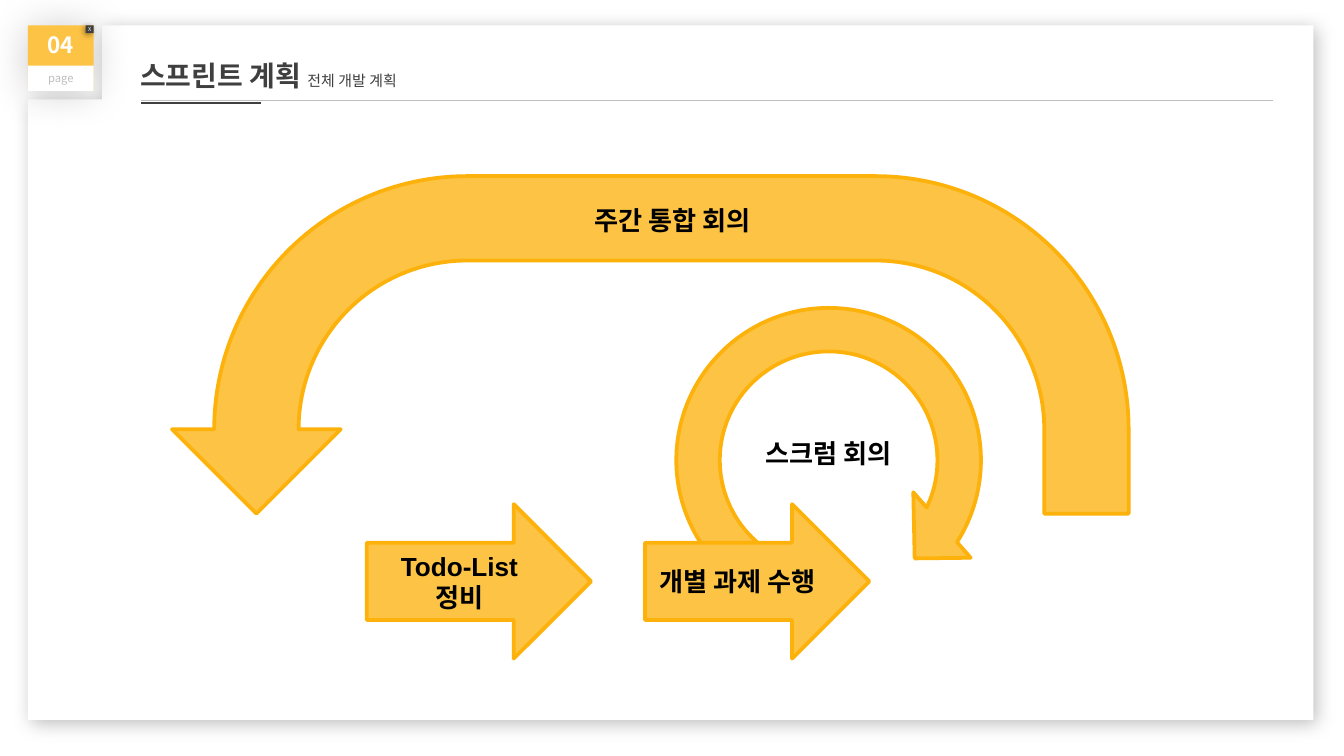
from lxml import etree
from pptx import Presentation
from pptx import util as u
from pptx.dml.color import RGBColor
from pptx.enum import shapes, text
from pptx.oxml.ns import qn

KOREAN = "Noto Sans CJK KR"
AMBER, AMBER_EDGE = "FDC345", "FDB20B"
WHITE, BLACK, DARK, GREY = "FFFFFF", "000000", "3F3F3F", "BFBFBF"
KIND = shapes.MSO_SHAPE


def color(value):
    return RGBColor.from_string(value)


def cm(*lengths):
    return [u.Cm(length) for length in lengths]


def add_effects(shape, shadow=None):
    """Shadow is (opacity %, blur pt, distance pt, angle)."""
    effects = etree.SubElement(shape._element.spPr, qn("a:effectLst"))
    if shadow:
        opacity, blur, distance, angle = shadow
        outer = etree.SubElement(
            effects, qn("a:outerShdw"), blurRad=str(u.Pt(blur)), dist=str(u.Pt(distance)),
            dir=str(angle * 60000), algn="ctr", rotWithShape="0")
        tint = etree.SubElement(outer, qn("a:srgbClr"), val=BLACK)
        etree.SubElement(tint, qn("a:alpha"), val=str(opacity * 1000))


def paint(shape, fill, edge=None, shadow=None):
    shape.fill.solid()
    shape.fill.fore_color.rgb = color(fill)
    if edge:
        shape.line.color.rgb = color(edge)
        shape.line.width = u.Pt(2)
    else:
        shape.line.fill.background()
    add_effects(shape, shadow)
    return shape


def write(shape, *runs, font=KOREAN, align=text.PP_ALIGN.CENTER,
          anchor=text.MSO_ANCHOR.MIDDLE, insets=(0.25, 0.13), spacing=None, fit=False):
    """Each run is (words, size, colour, bold)."""
    frame = shape.text_frame
    frame.word_wrap = True
    frame.vertical_anchor = anchor
    frame.auto_size = text.MSO_AUTO_SIZE.SHAPE_TO_FIT_TEXT if fit else text.MSO_AUTO_SIZE.NONE
    frame.margin_left = frame.margin_right = u.Cm(insets[0])
    frame.margin_top = frame.margin_bottom = u.Cm(insets[1])
    paragraph = frame.paragraphs[0]
    paragraph.alignment = align
    if spacing:
        paragraph.line_spacing = spacing
    for words, size, ink, bold in runs:
        run = paragraph.add_run()
        run.text = words
        run.font.name = font
        run.font.size = u.Pt(size)
        run.font.bold = bold
        run.font.color.rgb = color(ink)
        etree.SubElement(run.font._element, qn("a:ea"), typeface=KOREAN)


def add_block(slide, kind, *box, **look):
    return paint(slide.shapes.add_shape(kind, *cm(*box)), **look)


def add_rule(slide, left, top, width, ink, weight):
    rule = slide.shapes.add_connector(
        shapes.MSO_CONNECTOR.STRAIGHT, *cm(left, top, left + width, top))
    rule.line.color.rgb = color(ink)
    rule.line.width = u.Pt(weight)
    add_effects(rule)


def add_label(slide, words, *box):
    label = slide.shapes.add_textbox(*cm(*box))
    write(label, (words, 14, BLACK, True), font="Arial",
          anchor=text.MSO_ANCHOR.TOP, fit=True)


def build_sheet(slide, left, top, width, height, notch):
    """White page whose upper left corner is cut out for the badge."""
    right, bottom = left + width, top + height
    corner_x, corner_y = left + notch, top + notch
    outline = slide.shapes.build_freeform(*cm(corner_x, top), scale=1.0)
    outline.add_line_segments([cm(*point) for point in (
        (right, top), (right, bottom), (left, bottom),
        (left, corner_y), (corner_x, corner_y))], close=True)
    paint(outline.convert_to_shape(), WHITE, shadow=(26, 10, 3, 45))


def build_header(slide, left, top, width):
    title = slide.shapes.title
    title.left, title.top, title.width, title.height = cm(left - 0.2, top, 12.7, 1.14)
    write(title, ("스프린트 계획 ", 15, DARK, True), ("전체 개발 계획", 8, DARK, False),
          align=text.PP_ALIGN.LEFT, anchor=text.MSO_ANCHOR.TOP,
          insets=(0.18, 0.1), spacing=1.5, fit=True)
    add_rule(slide, left, top + 1.21, width, GREY, 0.75)
    add_rule(slide, left, top + 1.26, 2.27, DARK, 1.25)


def build_badge(slide, left, top, size):
    number = add_block(slide, KIND.RECTANGLE, left, top, size, size,
                       fill=AMBER, shadow=(20, 21, 1, 90))
    write(number, ("04", 12, WHITE, True), anchor=text.MSO_ANCHOR.TOP, insets=(0.18, 0.1))
    caption = add_block(slide, KIND.RECTANGLE, left, top + size - 0.48, size, 0.48, fill=WHITE)
    write(caption, ("page", 6, GREY, False), insets=(0.18, 0.1))
    close = add_block(slide, KIND.RECTANGLE, left + size - 0.15, top, 0.15, 0.15,
                      fill=DARK, shadow=(40, 3, 1, 135))
    write(close, ("X", 3, WHITE, False), insets=(0.18, 0.1))


def build_sprint_cycle(slide, left, top, width, height):
    amber = {"fill": AMBER, "edge": AMBER_EDGE}

    def add_step(words, step_left):
        step = add_block(slide, KIND.RIGHT_ARROW, step_left, top + 6.2, 4.24, 2.92, **amber)
        write(step, (words, 14, BLACK, True), font="Arial")

    def set_adjustments(shape, values):
        for index, value in enumerate(values):
            shape.adjustments[index] = value

    add_step("Todo-List 정비", left + 3.68)

    # Weekly meeting leads back to the start
    weekly = add_block(slide, KIND.U_TURN_ARROW, left, top, width, height, **amber)
    set_adjustments(weekly, (0.25, 0.25, 0.25, 0.75, 1))
    weekly.rotation = 180
    weekly._element.spPr.find(qn("a:xfrm")).set("flipV", "1")
    add_label(slide, "주간 통합 회의", left + 6.68, top + 0.4, 5.56, 0.86)

    # Scrum loop around the individual work
    scrum = add_block(slide, KIND.CIRCULAR_ARROW, left + 9.12, top + 2.08, 6.58, 6.58, **amber)
    set_adjustments(scrum, (0.125, 11.423, 204.577, 23.806, 0.125))
    scrum.rotation = 48.8
    add_step("개별 과제 수행", left + 8.94)
    add_label(slide, "스크럼 회의", left + 9.88, top + 4.8, 5.05, 0.86)


def main():
    deck = Presentation()
    deck.slide_width, deck.slide_height = cm(25.4, 14.29)
    slide = deck.slides.add_slide(deck.slide_layouts[5])
    build_sheet(slide, 0.53, 0.48, 24.29, 13.13, notch=1.4)
    # The title placeholder is moved in front of the sheet
    slide.shapes._spTree.append(slide.shapes.title._element)
    build_header(slide, 2.67, 0.69, 21.38)
    build_badge(slide, 0.53, 0.48, 1.24)
    build_sprint_cycle(slide, 3.25, 3.33, 18.08, 6.38)
    deck.save("out.pptx")


if __name__ == "__main__":
    main()
